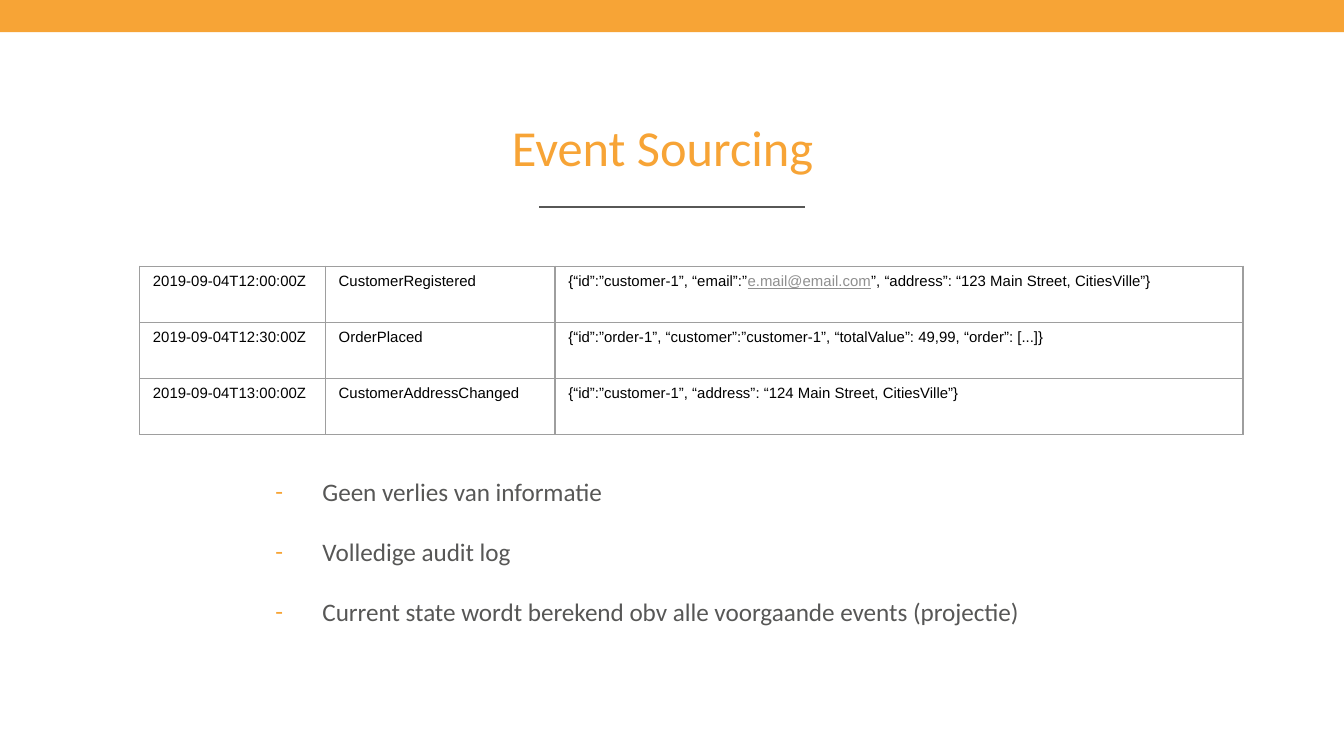
from lxml import etree
from pptx import Presentation
from pptx.dml.color import RGBColor
from pptx.enum import shapes, text
from pptx.oxml import ns
from pptx.util import Cm, Pt

ORANGE, GREY, BORDER, LINK = "F7A436", "575756", "9E9E9E", "8F8F8F"
EVENTS = [
    ("2019-09-04T12:00:00Z", "CustomerRegistered",
     ("{“id”:”customer-1”, “email”:”", "e.mail@email.com",
      "”, “address”: “123 Main Street, CitiesVille”}")),
    ("2019-09-04T12:30:00Z", "OrderPlaced",
     ("{“id”:”order-1”, “customer”:”customer-1”, “totalValue”: 49,99, “order”: [...]}",)),
    ("2019-09-04T13:00:00Z", "CustomerAddressChanged",
     ("{“id”:”customer-1”, “address”: “124 Main Street, CitiesVille”}",)),
]
BENEFITS = ["Geen verlies van informatie", "Volledige audit log",
            "Current state wordt berekend obv alle voorgaande events (projectie)"]


def color(value):
    """Turn a hex string into a colour."""
    return RGBColor.from_string(value)


def sub(parent, tag, **attrs):
    """Append a drawing element to a parent."""
    return etree.SubElement(parent, ns.qn(tag), attrs)


def add_run(p, content, size=8, font="Arial", fill="000000", underline=None):
    """Add a formatted run to a paragraph."""
    r = p.add_run()
    r.text = content
    r.font.size, r.font.name = Pt(size), font
    r.font.color.rgb = color(fill)
    r.font.underline = underline


def place(sp, left, top, width, height):
    """Move and size a shape, in centimetres."""
    sp.left, sp.top, sp.width, sp.height = map(Cm, (left, top, width, height))


def add_bar(s, width):
    """Draw the band along the top edge."""
    sp = s.shapes.add_shape(shapes.MSO_SHAPE.RECTANGLE, 0, 0, width, Cm(0.61))
    sp.shadow.inherit = False
    sp.fill.solid()
    sp.fill.fore_color.rgb = color(ORANGE)
    sp.line.fill.background()


def add_rule(s, left, right, y):
    """Draw the thin rule below the title."""
    line = s.shapes.add_connector(shapes.MSO_CONNECTOR.STRAIGHT,
                                  Cm(left), Cm(y), Cm(right), Cm(y))
    line.line.width = Pt(0.75)
    line.line.color.rgb = color(GREY)
    sub(line._element.spPr, "a:effectLst")


def set_title(s, content):
    """Fill and place the title."""
    sp = s.shapes.title
    place(sp, 3.4, 2.03, 18.24, 1.47)
    tf = sp.text_frame
    tf.auto_size = text.MSO_AUTO_SIZE.NONE
    tf.vertical_anchor = text.MSO_ANCHOR.MIDDLE
    p = tf.paragraphs[0]
    p.alignment = text.PP_ALIGN.CENTER
    add_run(p, content, 27, "Calibri", ORANGE)


def set_list(s, items):
    """Fill and place the dashed list."""
    sp = s.placeholders[1]
    place(sp, 4.57, 7.87, 18.14, 6.6)
    tf = sp.text_frame
    tf.auto_size = text.MSO_AUTO_SIZE.NONE
    tf.vertical_anchor = text.MSO_ANCHOR.TOP
    tf.margin_top = Cm(1.14)
    for i, item in enumerate(items):
        p = tf.add_paragraph() if i else tf.paragraphs[0]
        p.space_before, p.space_after = Pt(0), Pt(15.9)
        pPr = p._p.get_or_add_pPr()
        pPr.set("marL", str(Cm(1.27)))
        pPr.set("indent", str(-Cm(0.89)))
        sub(sub(pPr, "a:buClr"), "a:srgbClr", val=ORANGE)
        sub(pPr, "a:buFont", typeface="Calibri")
        sub(pPr, "a:buChar", char="-")
        add_run(p, item, 13.5, "Calibri", GREY)


def set_borders(cell):
    """Give a cell no fill and a thin border on each side."""
    cell.fill.background()
    tcPr = cell._tc.get_or_add_tcPr()
    for i, side in enumerate("LRTB"):
        ln = sub(tcPr, f"a:ln{side}", w=str(Pt(0.75)))
        sub(sub(ln, "a:solidFill"), "a:srgbClr", val=BORDER)
        tcPr.insert(i, ln)


def add_event_table(s, events):
    """Add the table of events."""
    widths, row_height = (3.51, 4.34, 13.0), 1.06
    table = s.shapes.add_table(len(events), len(widths), Cm(2.64), Cm(5.03),
                               Cm(sum(widths)), Cm(row_height * len(events))).table
    table.first_row = table.horz_banding = False
    for column, width in zip(table.columns, widths):
        column.width = Cm(width)
    for row, (time, name, data) in zip(table.rows, events):
        row.height = Cm(row_height)
        for cell, parts in zip(row.cells, ((time,), (name,), data)):
            set_borders(cell)
            cell.margin_left = cell.margin_right = Cm(0.25)
            cell.margin_top = cell.margin_bottom = Cm(0.13)
            for part in parts:
                style = {"fill": LINK, "underline": True} if "@" in part else {}
                add_run(cell.text_frame.paragraphs[0], part, **style)


def main():
    """Build the slide."""
    prs = Presentation()
    prs.slide_width, prs.slide_height = Cm(25.4), Cm(14.29)
    s = prs.slides.add_slide(prs.slide_layouts[1])
    add_bar(s, prs.slide_width)
    add_rule(s, 10.19, 15.21, 3.91)
    set_title(s, "Event Sourcing")
    add_event_table(s, EVENTS)
    set_list(s, BENEFITS)
    prs.save("out.pptx")


main()
